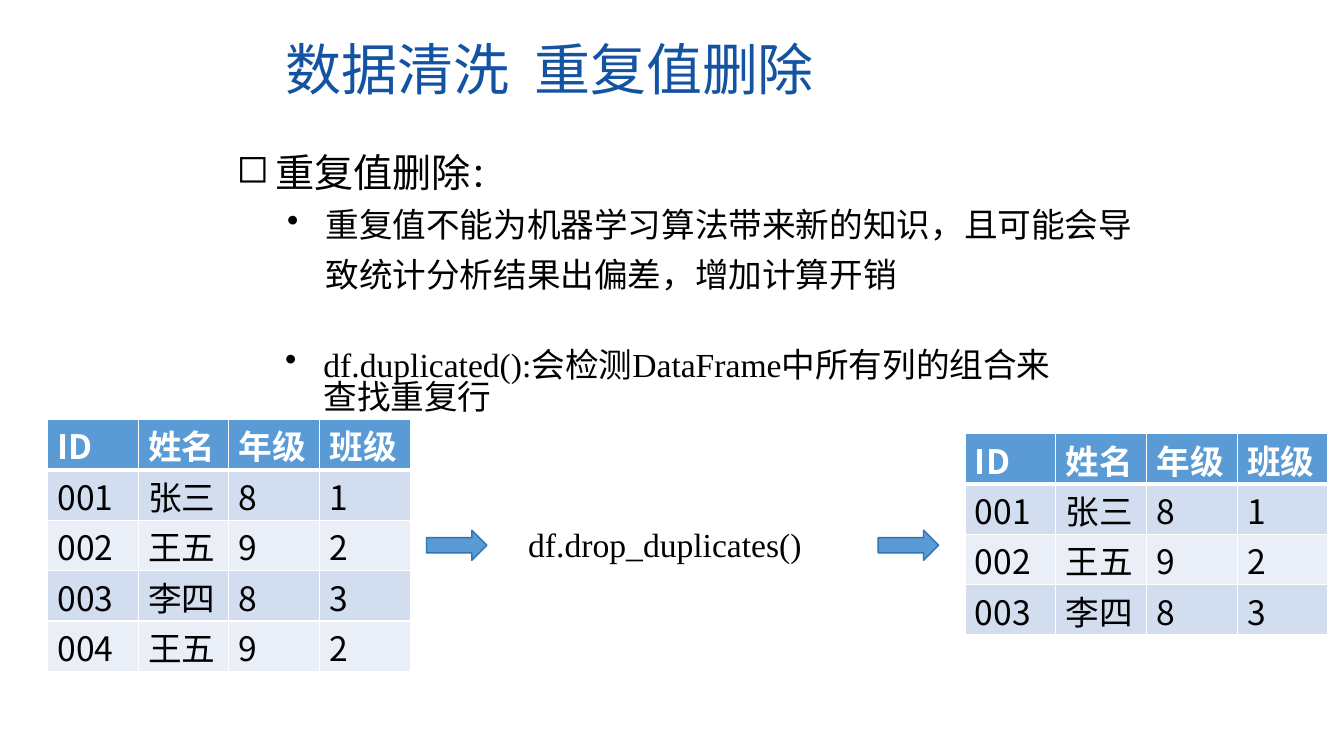
from lxml import etree
from pptx import Presentation
from pptx import util as u
from pptx.dml.color import RGBColor
from pptx.enum import shapes, text
from pptx.oxml.ns import qn

COLORS = {
    "title": "1353A2",
    "ink": "000000",
    "white": "FFFFFF",
    "blue": "5B9BD5",
    "outline": "2E75B6",
    "odd": "D2DEEF",
    "even": "EAEFF7",
}
SANS = "Noto Sans CJK SC"
SERIF = "Times New Roman"


def color(name):
    return RGBColor.from_string(COLORS[name])


def add_span(para, words, size=24, font=SANS, ink="ink", bold=False, tracking=0):
    span = para.add_run()
    span.text = words
    span.font.size = u.Pt(size)
    span.font.bold = bold
    span.font.color.rgb = color(ink)
    span.font.name = font
    properties = span.font._element
    east_asian = etree.SubElement(properties, qn("a:ea"))
    east_asian.set("typeface", SANS)
    if tracking:
        properties.set("spc", str(tracking * 100))


def add_bullet(para, mark, indent, level=0):
    para.level = level
    properties = para._p.get_or_add_pPr()
    properties.set("marL", str(u.Inches(indent)))
    properties.set("indent", str(u.Inches(-0.38)))
    tint = etree.SubElement(properties, qn("a:buClr"))
    etree.SubElement(tint, qn("a:srgbClr")).set("val", COLORS["ink"])
    etree.SubElement(properties, qn("a:buChar")).set("char", mark)


def add_border(cell, side, width):
    line = etree.SubElement(cell._tc.get_or_add_tcPr(), qn("a:" + side))
    line.set("w", str(u.Pt(width)))
    fill = etree.SubElement(line, qn("a:solidFill"))
    etree.SubElement(fill, qn("a:srgbClr")).set("val", COLORS["white"])


class SlideBuilder:
    def __init__(self, deck):
        self.page = deck.slides.add_slide(deck.slide_layouts[6])

    def text_box(self, left, top, width, height, anchor=text.MSO_ANCHOR.TOP):
        box = self.page.shapes.add_textbox(
            u.Inches(left), u.Inches(top), u.Inches(width), u.Inches(height))
        frame = box.text_frame
        frame.word_wrap = True
        frame.vertical_anchor = anchor
        return frame

    def arrow(self, left, top):
        arrow = self.page.shapes.add_shape(
            shapes.MSO_SHAPE.RIGHT_ARROW,
            u.Inches(left), u.Inches(top), u.Inches(0.6), u.Inches(0.3))
        arrow.shadow.inherit = False
        arrow.fill.solid()
        arrow.fill.fore_color.rgb = color("blue")
        arrow.line.color.rgb = color("outline")
        arrow.line.width = u.Pt(1)

    def table(self, left, top, rows, column_width=0.9, row_height=0.5):
        columns = len(rows[0])
        table = self.page.shapes.add_table(
            len(rows), columns, u.Inches(left), u.Inches(top),
            u.Inches(columns * column_width), u.Inches(len(rows) * row_height)).table
        for row_index, row in enumerate(rows):
            for column_index, words in enumerate(row):
                self.cell(table.cell(row_index, column_index), words, row_index)

    def cell(self, cell, words, row_index):
        header = row_index == 0
        cell.margin_top = u.Inches(0.01)
        cell.margin_bottom = 0
        cell.vertical_anchor = text.MSO_ANCHOR.BOTTOM
        for side in ("lnL", "lnR", "lnT", "lnB"):
            thick = (header and side == "lnB") or (row_index == 1 and side == "lnT")
            add_border(cell, side, 3 if thick else 1)
        cell.fill.solid()
        band = "blue" if header else ("odd" if row_index % 2 else "even")
        cell.fill.fore_color.rgb = color(band)
        add_span(cell.text_frame.paragraphs[0], words,
                 ink="white" if header else "ink", bold=header)


def main():
    deck = Presentation()
    deck.slide_width = u.Inches(13.33)
    deck.slide_height = u.Inches(7.5)
    slide = SlideBuilder(deck)

    title = slide.text_box(2.73, 0.29, 5.88, 0.77, text.MSO_ANCHOR.MIDDLE).paragraphs[0]
    add_span(title, "数据清洗", size=40, ink="title")
    add_span(title, " ", size=40, ink="title", tracking=9)
    add_span(title, "重复值删除", size=40, ink="title")

    body = slide.text_box(2.25, 1.27, 9.16, 2)
    body.margin_top = u.Inches(0.09)
    heading = body.paragraphs[0]
    add_bullet(heading, "◻", 0.38)
    heading.line_spacing = 1.23
    add_span(heading, "重复值删除", size=28)
    add_span(heading, "：")
    reason = body.add_paragraph()
    add_bullet(reason, "•", 0.88, level=1)
    reason.line_spacing = 1.23
    add_span(reason, "重复值不能为机器学习算法带来新的知识，且可能会导致统计分析结果出偏差，增加计算开销")

    students = [
        ("ID", "姓名", "年级", "班级"),
        ("001", "张三", "8", "1"),
        ("002", "王五", "9", "2"),
        ("003", "李四", "8", "3"),
        ("004", "王五", "9", "2"),
    ]
    slide.table(0.47, 4.16, students)
    slide.table(9.57, 4.3, students[:-1])

    for left in (4.23, 8.71):
        slide.arrow(left, 5.26)

    call = slide.text_box(5.14, 5.15, 3.35, 0.5).paragraphs[0]
    add_span(call, "df.drop_duplicates()", font=SERIF)

    check = slide.text_box(2.73, 3.27, 7.86, 0.91, text.MSO_ANCHOR.BOTTOM).paragraphs[0]
    add_bullet(check, "•", 0.38)
    check.line_spacing = 0.8
    add_span(check, "df.duplicated():会检测DataFrame中所有列的组合来查找重复行", font=SERIF)

    deck.save("out.pptx")


if __name__ == "__main__":
    main()
